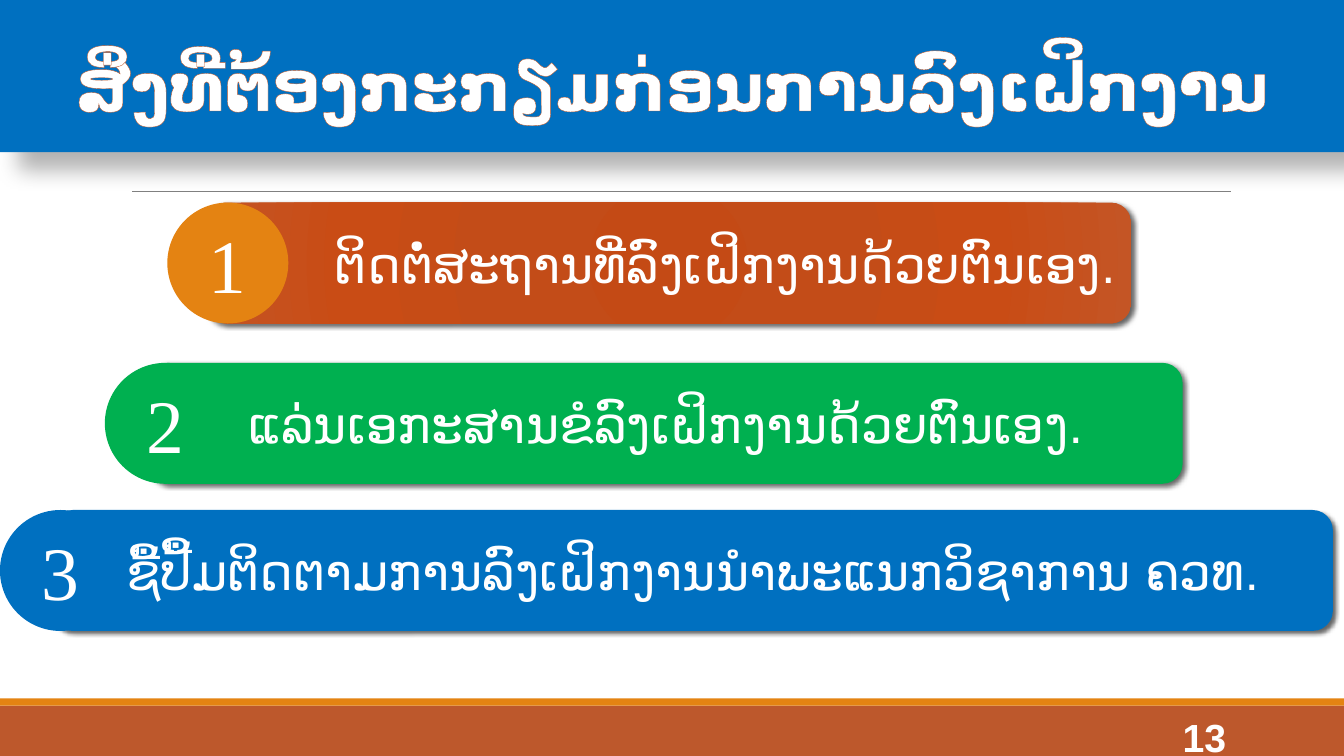
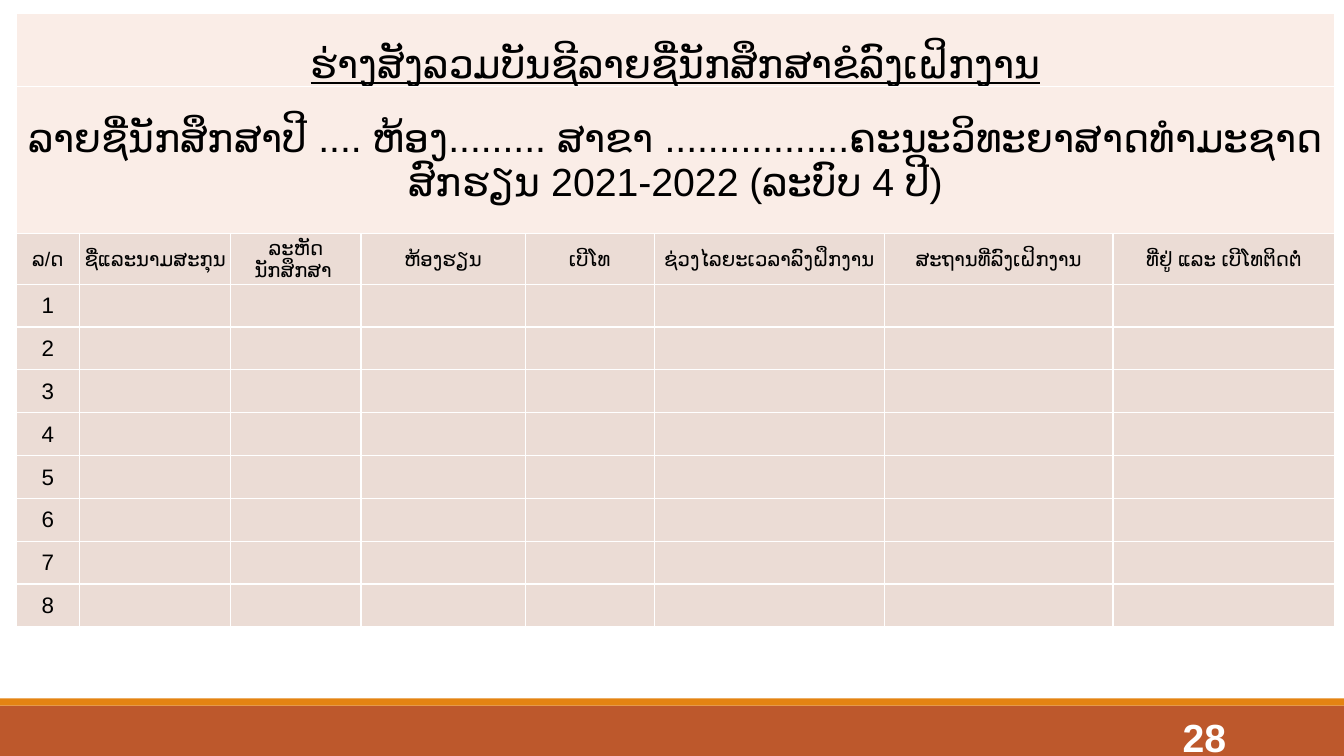
from lxml.etree import SubElement
from pptx import Presentation
from pptx.dml.color import RGBColor
from pptx.enum.shapes import MSO_CONNECTOR, MSO_SHAPE
from pptx.enum.text import MSO_ANCHOR, MSO_AUTO_SIZE, PP_ALIGN
from pptx.oxml import parse_xml
from pptx.oxml.ns import nsdecls, qn
from pptx.util import Inches, Pt

WIDTH, HEIGHT = 13.33, 7.5
WHITE, BLACK, GRAY = "FFFFFF", "000000", "808080"
RUST, ORANGE, BLUE, GREEN = "BD582C", "E48312", "0070C0", "00B050"
HEADING_FILL, BODY_FILL = "FAEDE7", "EBDCD5"
RUST_STOPS = [(0, "C44A15"), (34, "C34C18"), (70, "C94C15"), (100, "C45525")]
SANS, SERIF = "Arial", "Times New Roman"
TITLE_LAYOUT, BLANK_LAYOUT = 5, 6
BAR_HEIGHT = 1.2

STEPS = [
    (1.66, 2.01, 2.04, 9.18, ORANGE, RUST_STOPS, PP_ALIGN.RIGHT,
     "ຕິດຕໍ່ສະຖານທີ່ລົງເຝິກງານດ້ວຍຕົນເອງ."),
    (1.04, 3.6, 1.47, 10.26, GREEN, GREEN, PP_ALIGN.CENTER,
     "ແລ່ນເອກະສານຂໍລົງເຝິກງານດ້ວຍຕົນເອງ."),
    (0, 5.06, 0.52, 12.7, BLUE, BLUE, PP_ALIGN.CENTER,
     "ຊື້ປື້ມຕິດຕາມການລົງເຝິກງານນໍາພະແນກວິຊາການ ຄວທ."),
]
HEADINGS = [
    "ຮ່າງສັງລວມບັນຊີລາຍຊື່ນັກສຶກສາຂໍລົງເຝິກງານ",
    "ລາຍຊື່ນັກສຶກສາປີ .... ຫ້ອງ......... ສາຂາ .................ຄະນະວິທະຍາສາດທຳມະຊາດ "
    "ສົກຮຽນ 2021-2022 (ລະບົບ 4 ປີ)",
]
COLUMNS = [
    ("ລ/ດ", 0.63), ("ຊື່ແລະນາມສະກຸນ", 1.5), ("ລະຫັດນັກສຶກສາ ", 1.29),
    ("ຫ້ອງຮຽນ", 1.63), ("ເບີໂທ", 1.28), ("ຊ່ວງໄລຍະເວລາລົງຝຶກງານ", 2.28),
    ("ສະຖານທີ່ລົງເຝິກງານ", 2.27), ("ທີ່ຢູ່ ແລະ ເບີໂທຕິດຕໍ່", 2.2),
]
STUDENT_COUNT = 8


def color(value):
    """Turn a hex string into a colour."""
    return RGBColor.from_string(value)


def solid_xml(value):
    """Return the XML of a solid fill."""
    return f'<a:solidFill {nsdecls("a")}><a:srgbClr val="{value}"/></a:solidFill>'


class Board:
    """Hold the deck, its style and the current slide."""

    def __init__(self):
        """Start an empty widescreen deck."""
        self.deck = Presentation()
        self.deck.slide_width = Inches(WIDTH)
        self.deck.slide_height = Inches(HEIGHT)
        self.page = None

    def new_page(self, layout, number):
        """Add a slide with its footer bands and page number."""
        self.page = self.deck.slides.add_slide(self.deck.slide_layouts[layout])
        self.shape(MSO_SHAPE.RECTANGLE, 0, 7, WIDTH, 0.5, RUST)
        self.shape(MSO_SHAPE.RECTANGLE, 0, 6.93, WIDTH, 0.07, ORANGE)
        box = self.page.shapes.add_textbox(
            Inches(10.83), Inches(7.06), Inches(1.43), Inches(0.4))
        self.text(box.text_frame, str(number), 28, align=PP_ALIGN.RIGHT,
                  bold=True, spacing=1.2)

    def text(self, frame, text, size, font=SANS, fill=WHITE,
             align=PP_ALIGN.CENTER, bold=False, underline=False, spacing=None):
        """Add one run of text and return it."""
        frame.word_wrap = True
        frame.vertical_anchor = MSO_ANCHOR.MIDDLE
        para = frame.paragraphs[0]
        para.alignment = align
        para.line_spacing = spacing
        span = para.add_run()
        span.text = text
        span.font.size = Pt(size)
        span.font.name = font
        span.font.bold = bold
        span.font.underline = underline
        span.font.color.rgb = color(fill)
        SubElement(span._r.get_or_add_rPr(), qn("a:cs")).set("typeface", font)
        return span

    def shadow(self, shape, opacity, blur, distance):
        """Cast a shadow down and to the right."""
        shape.shadow.inherit = False
        effects = shape._element.spPr.find(qn("a:effectLst"))
        effects.append(parse_xml(
            f'<a:outerShdw {nsdecls("a")} blurRad="{Pt(blur)}" dist="{Pt(distance)}" '
            f'dir="2700000" algn="tl" rotWithShape="0"><a:srgbClr val="{BLACK}">'
            f'<a:alpha val="{opacity * 1000}"/></a:srgbClr></a:outerShdw>'))

    def shape(self, kind, left, top, width, height, fill, shapes=None):
        """Add a borderless shape with a plain colour or gradient stops."""
        if shapes is None:
            shapes = self.page.shapes
        shape = shapes.add_shape(
            kind, Inches(left), Inches(top), Inches(width), Inches(height))
        if isinstance(fill, str):
            shape.fill.solid()
            shape.fill.fore_color.rgb = color(fill)
        else:
            stops = "".join(f'<a:gs pos="{spot * 1000}"><a:srgbClr val="{tone}"/></a:gs>'
                            for spot, tone in fill)
            shape._element.spPr.append(parse_xml(
                f'<a:gradFill {nsdecls("a")} rotWithShape="1"><a:gsLst>{stops}</a:gsLst>'
                '<a:path path="circle"><a:fillToRect l="100000" t="100000" '
                'r="100000" b="100000"/></a:path></a:gradFill>'))
        shape.line.fill.background()
        shape.shadow.inherit = False
        return shape

    def title(self, text):
        """Turn the title placeholder into the top band."""
        title = self.page.shapes.title
        title.left, title.top = Inches(0), Inches(0)
        title.width, title.height = Inches(WIDTH), Inches(1.51)
        title.fill.solid()
        title.fill.fore_color.rgb = color(BLUE)
        self.shadow(title, 30, 15, 18)
        title.text_frame.auto_size = MSO_AUTO_SIZE.NONE
        span = self.text(title.text_frame, text, 48, bold=True, spacing=1.2)
        span._r.get_or_add_rPr().insert(0, parse_xml(
            f'<a:ln {nsdecls("a")} w="{Pt(0.52)}">{solid_xml(RUST)}</a:ln>'))

    def rule(self, left, right, top):
        """Draw a thin horizontal line."""
        line = self.page.shapes.add_connector(
            MSO_CONNECTOR.STRAIGHT, Inches(left), Inches(top), Inches(right), Inches(top))
        line.line.color.rgb = color(GRAY)
        line.line.width = Pt(0.5)
        SubElement(line._element.spPr, qn("a:effectLst"))

    def step(self, number, left, top, bar_left, bar_width, disc_fill, bar_fill, align, text):
        """Add a numbered disc on a rounded bar."""
        shapes = self.page.shapes.add_group_shape().shapes
        bar = self.shape(MSO_SHAPE.ROUNDED_RECTANGLE, bar_left, top, bar_width,
                         BAR_HEIGHT, bar_fill, shapes)
        self.shadow(bar, 60, 3.5, 2)
        self.text(bar.text_frame, text, 36, align=align)
        disc = self.shape(MSO_SHAPE.OVAL, left, top, BAR_HEIGHT, BAR_HEIGHT,
                          disc_fill, shapes)
        self.text(disc.text_frame, str(number), 54, font=SERIF)

    def cell(self, cell, fill, text="", size=16, underline=False, anchor=MSO_ANCHOR.MIDDLE):
        """Format one table cell with white borders."""
        cell.margin_left = cell.margin_right = cell.margin_top = Inches(0.01)
        cell.margin_bottom = Inches(0)
        borders = cell._tc.get_or_add_tcPr()
        for side in ("lnL", "lnR", "lnT", "lnB"):
            borders.append(parse_xml(
                f'<a:{side} {nsdecls("a")} w="{Pt(1)}">{solid_xml(WHITE)}</a:{side}>'))
        cell.fill.solid()
        cell.fill.fore_color.rgb = color(fill)
        if text:
            self.text(cell.text_frame, text, size, fill=BLACK, underline=underline)
        cell.vertical_anchor = anchor

    def roster(self, left, top, width, height):
        """Add the student list with two merged heading rows."""
        heights = [0.73, 1.46, 0.5]
        heights += [(height - sum(heights)) / STUDENT_COUNT] * STUDENT_COUNT
        table = self.page.shapes.add_table(
            len(heights), len(COLUMNS), Inches(left), Inches(top),
            Inches(width), Inches(height)).table
        table.first_row = table.horz_banding = False
        for row, row_height in zip(table.rows, heights):
            row.height = Inches(row_height)
        for index, (label, column_width) in enumerate(COLUMNS):
            table.columns[index].width = Inches(column_width)
            self.cell(table.cell(2, index), BODY_FILL, label, 14)
            for student in range(1, STUDENT_COUNT + 1):
                text = str(student) if index == 0 else ""
                self.cell(table.cell(student + 2, index), BODY_FILL, text)
        for index, heading in enumerate(HEADINGS):
            first = index == 0
            table.cell(index, 0).merge(table.cell(index, len(COLUMNS) - 1))
            self.cell(table.cell(index, 0), HEADING_FILL, heading, 28, underline=first,
                      anchor=MSO_ANCHOR.BOTTOM if first else MSO_ANCHOR.MIDDLE)


def main():
    """Build and save the deck."""
    board = Board()
    board.new_page(TITLE_LAYOUT, 13)
    board.title("ສິ່ງທີ່ຕ້ອງກະກຽມກ່ອນການລົງເຝິກງານ")
    board.rule(1.31, 12.21, 1.9)
    for number, step in enumerate(STEPS, 1):
        board.step(number, *step)
    board.new_page(BLANK_LAYOUT, 28)
    board.roster(0.16, 0.13, 13.06, 6.09)
    board.deck.save("out.pptx")


if __name__ == "__main__":
    main()
